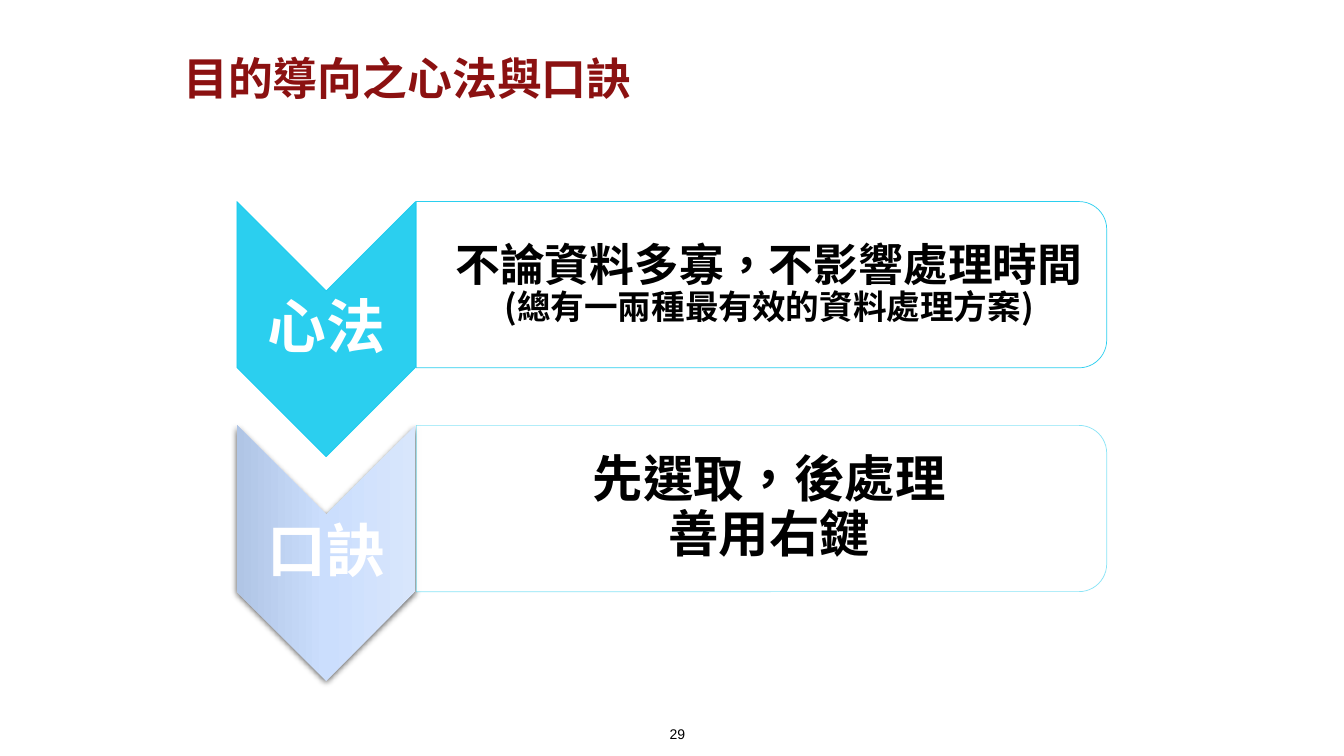
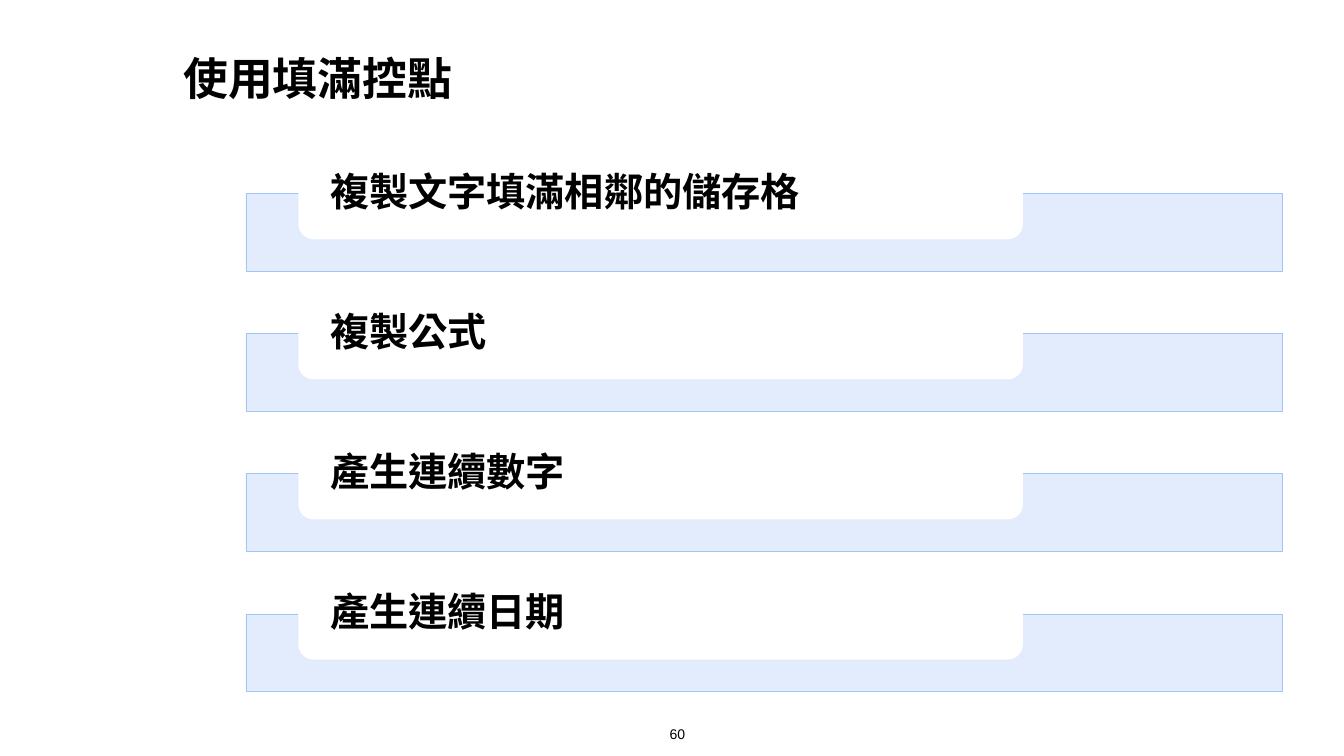
from typing import NamedTuple, Optional

from lxml.etree import SubElement
from pptx import Presentation
from pptx.dml.color import RGBColor
from pptx.enum.shapes import MSO_SHAPE
from pptx.enum.text import MSO_ANCHOR, MSO_AUTO_SIZE, PP_ALIGN
from pptx.oxml.ns import qn
from pptx.shapes.autoshape import Shape
from pptx.slide import Slide
from pptx.text.text import TextFrame
from pptx.util import Cm, Pt

WHITE = RGBColor(0xFF, 0xFF, 0xFF)
BLACK = RGBColor(0x00, 0x00, 0x00)
DARK_RED = RGBColor(0x8B, 0x11, 0x11)
CYAN = RGBColor(0x14, 0xCA, 0xEE)
PALE_BLUE = RGBColor(0xDF, 0xEA, 0xFC)
BAR_EDGE = RGBColor(0xA0, 0xC6, 0xF8)
ARROW_GRADIENT = (
    (0, RGBColor(0xD8, 0xE6, 0xFC)),
    (50, RGBColor(0xCB, 0xDE, 0xFD)),
    (100, RGBColor(0xB0, 0xC5, 0xE5)),
)

LATIN_FONT = "Arial"
CJK_FONT = "Noto Sans CJK SC"


class Box(NamedTuple):
    """Frame in centimetres."""

    left: float
    top: float
    width: float
    height: float

    def lengths(self) -> tuple[Cm, Cm, Cm, Cm]:
        """Return the frame as lengths."""
        return Cm(self.left), Cm(self.top), Cm(self.width), Cm(self.height)

    def turned(self) -> "Box":
        """Return the frame that covers this one after a quarter turn."""
        shift = (self.width - self.height) / 2
        return Box(self.left + shift, self.top - shift, self.height, self.width)


class TextStyle(NamedTuple):
    """Look of a paragraph."""

    size: float
    color: RGBColor = BLACK
    bold: bool = True
    font: str = LATIN_FONT
    alignment: PP_ALIGN = PP_ALIGN.LEFT
    line_spacing: Optional[float] = None


class Line(NamedTuple):
    """One paragraph and its size."""

    text: str
    size: float


class Principle(NamedTuple):
    """Arrow label with the panel beside it."""

    label: str
    lines: tuple[Line, ...]
    line_opacity: int
    has_gradient: bool


PRINCIPLES = (
    Principle(
        "心法",
        (Line("不論資料多寡，不影響處理時間", 32), Line("(總有一兩種最有效的資料處理方案)", 24)),
        90,
        False,
    ),
    Principle("口訣", (Line("先選取，後處理", 36), Line("善用右鍵", 36)), 50, True),
)
FILL_HANDLE_USES = ("複製文字填滿相鄰的儲存格", "複製公式", "產生連續數字", "產生連續日期")

TITLE_BOX = Box(4.37, 1.27, 26.24, 1.35)
NUMBER_BOX = Box(15.52, 18.16, 3.1, 0.74)
NUMBER_STYLE = TextStyle(10, bold=False, alignment=PP_ALIGN.CENTER)
LABEL_STYLE = TextStyle(42, WHITE, True, CJK_FONT, PP_ALIGN.CENTER, 0.9)
PANEL_STYLE = LABEL_STYLE._replace(color=BLACK)
TAB_STYLE = TextStyle(28, line_spacing=0.9)

PRINCIPLE_TOP, PRINCIPLE_PITCH = 5.08, 5.64
BAR_TOP, BAR_PITCH = 4.88, 3.53


def write_paragraph(frame: TextFrame, index: int, text: str, style: TextStyle) -> None:
    """Write one styled paragraph into a frame."""
    paragraph = frame.add_paragraph() if index else frame.paragraphs[0]
    paragraph.text = text
    paragraph.alignment = style.alignment
    paragraph.line_spacing = style.line_spacing
    font = paragraph.font
    font.name, font.size, font.bold = style.font, Pt(style.size), style.bold
    font.color.rgb = style.color
    properties = paragraph._p.pPr.find(qn("a:defRPr"))
    properties.set("lang", "zh-TW")
    SubElement(properties, qn("a:ea")).set("typeface", CJK_FONT)


def set_frame(frame: TextFrame, left: float, right: float, vertical: float) -> None:
    """Wrap and centre a frame vertically with margins in centimetres."""
    frame.word_wrap = True
    frame.auto_size = MSO_AUTO_SIZE.NONE
    frame.vertical_anchor = MSO_ANCHOR.MIDDLE
    frame.margin_left, frame.margin_right = Cm(left), Cm(right)
    frame.margin_top = frame.margin_bottom = Cm(vertical)


def add_text(slide: Slide, box: Box, left: float, margin: float) -> TextFrame:
    """Add a text box and return its frame."""
    frame = slide.shapes.add_textbox(*box.lengths()).text_frame
    set_frame(frame, left, margin, margin)
    return frame


def set_opacity(shape: Shape, fill: int, line: int) -> None:
    """Set the opacity of the solid fill and the line in percent."""
    properties = shape._element.spPr
    for parent, percent in (("a:solidFill", fill), ("a:ln/a:solidFill", line)):
        color = properties.find("/".join(qn(tag) for tag in f"{parent}/a:srgbClr".split("/")))
        SubElement(color, qn("a:alpha")).set("val", str(percent * 1000))


def add_shape(
    slide: Slide, kind: MSO_SHAPE, box: Box, fill: RGBColor, line: Optional[RGBColor] = None
) -> Shape:
    """Add a flat shape with a thin line or none."""
    shape = slide.shapes.add_shape(kind, *box.lengths())
    shape.shadow.inherit = False
    shape.fill.solid()
    shape.fill.fore_color.rgb = fill
    if line is None:
        shape.line.fill.background()
    else:
        shape.line.color.rgb = line
        shape.line.width = Pt(0.5)
    return shape


def add_turned_shape(
    slide: Slide, kind: MSO_SHAPE, box: Box, fill: RGBColor, line: Optional[RGBColor] = None
) -> Shape:
    """Add a shape that fills the box after a quarter turn."""
    shape = add_shape(slide, kind, box.turned(), fill, line)
    shape.rotation = 90
    return shape


def apply_gradient(shape: Shape) -> None:
    """Give an arrow its gradient and soft shadow."""
    shape.fill.gradient()
    shape.fill.gradient_angle = 270
    properties = shape._element.spPr
    stops = properties.find(f"{qn('a:gradFill')}/{qn('a:gsLst')}")
    for stop in list(stops):
        stops.remove(stop)
    for position, color in ARROW_GRADIENT:
        stop = SubElement(stops, qn("a:gs"), pos=str(position * 1000))
        SubElement(stop, qn("a:srgbClr"), val=str(color))
    shadow = SubElement(
        properties.find(qn("a:effectLst")),
        qn("a:outerShdw"),
        blurRad=str(Pt(4.5)),
        dist=str(Pt(1.5)),
        dir="5400000",
        rotWithShape="0",
    )
    shadow_color = SubElement(shadow, qn("a:srgbClr"), val=str(BLACK))
    SubElement(shadow_color, qn("a:alpha"), val="63000")


def add_titled_slide(presentation: Presentation, title: str, color: RGBColor, number: int) -> Slide:
    """Add a slide with its title and page number."""
    slide = presentation.slides.add_slide(presentation.slide_layouts[5])
    shape = slide.shapes.title
    shape.left, shape.top, shape.width, shape.height = TITLE_BOX.lengths()
    set_frame(shape.text_frame, 0.25, 0.25, 0.13)
    write_paragraph(shape.text_frame, 0, title, TextStyle(32, color))
    frame = add_text(slide, NUMBER_BOX, 0.25, 0.13)
    frame.margin_right = Cm(0.25)
    frame.vertical_anchor = MSO_ANCHOR.TOP
    write_paragraph(frame, 0, str(number), NUMBER_STYLE)
    return slide


def add_principle(slide: Slide, principle: Principle, top: float) -> None:
    """Draw an arrow with its label and the panel beside it."""
    arrow = add_turned_shape(
        slide, MSO_SHAPE.CHEVRON, Box(5.97, top, 4.5, 6.43), CYAN, None if principle.has_gradient else CYAN
    )
    if principle.has_gradient:
        apply_gradient(arrow)
    else:
        set_opacity(arrow, 90, 90)
    label = add_text(slide, Box(5.97, top + 2.26, 4.5, 1.93), 0.08, 0.08)
    write_paragraph(label, 0, principle.label, LABEL_STYLE)

    panel = add_turned_shape(
        slide, MSO_SHAPE.ROUND_2_SAME_RECTANGLE, Box(10.49, top, 17.4, 4.19), WHITE, CYAN
    )
    set_opacity(panel, 90, principle.line_opacity)
    frame = add_text(slide, Box(10.49, top + 0.2, 17.2, 3.79), 0.64, 0.05)
    for index, line in enumerate(principle.lines):
        write_paragraph(frame, index, line.text, PANEL_STYLE._replace(size=line.size))


def add_tabbed_bar(slide: Slide, text: str, top: float) -> None:
    """Draw a bar with a white tab over its upper edge."""
    bar = add_shape(slide, MSO_SHAPE.RECTANGLE, Box(6.2, top, 26.11, 1.96), PALE_BLUE, BAR_EDGE)
    set_opacity(bar, 90, 100)
    tab = add_shape(slide, MSO_SHAPE.ROUNDED_RECTANGLE, Box(7.52, top - 1.14, 18.26, 2.29), WHITE)
    set_frame(tab.text_frame, 0.69, 0.69, 0)
    write_paragraph(tab.text_frame, 0, text, TAB_STYLE)


def main() -> None:
    """Build and save the presentation."""
    presentation = Presentation()
    presentation.slide_width, presentation.slide_height = Cm(33.87), Cm(19.05)

    slide = add_titled_slide(presentation, "目的導向之心法與口訣", DARK_RED, 29)
    for index, principle in enumerate(PRINCIPLES):
        add_principle(slide, principle, PRINCIPLE_TOP + index * PRINCIPLE_PITCH)

    slide = add_titled_slide(presentation, "使用填滿控點", BLACK, 60)
    for index, text in enumerate(FILL_HANDLE_USES):
        add_tabbed_bar(slide, text, BAR_TOP + index * BAR_PITCH)

    presentation.save("out.pptx")


if __name__ == "__main__":
    main()
